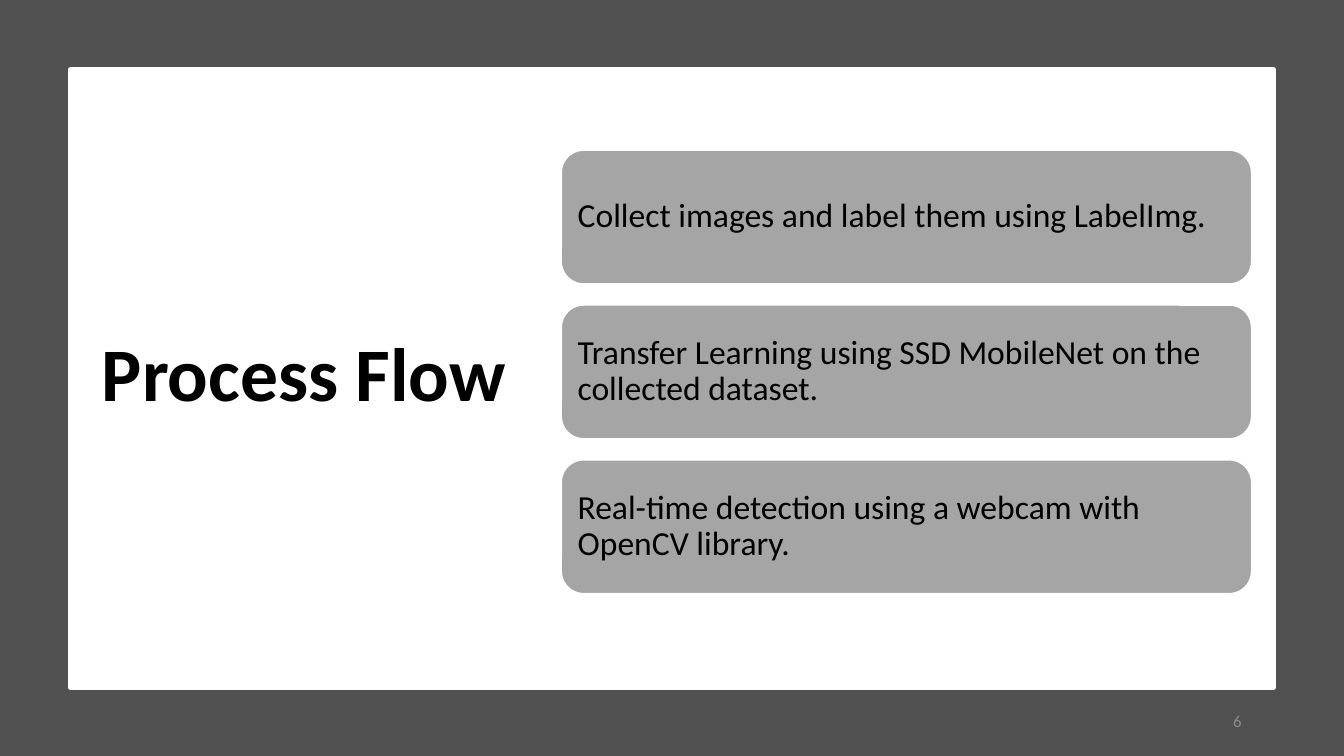
from lxml import etree
from pptx import Presentation
from pptx.dml.color import RGBColor
from pptx.enum import shapes, text
from pptx.oxml.ns import qn
from pptx.util import Pt

FONT = "Calibri"
BLACK = RGBColor(0x00, 0x00, 0x00)
WHITE = RGBColor(0xFF, 0xFF, 0xFF)
CHARCOAL = RGBColor(0x26, 0x26, 0x26)
STEP_GREY = RGBColor(0xA5, 0xA5, 0xA5)
NUMBER_GREY = RGBColor(0x8C, 0x8C, 0x8C)

WIDTH, HEIGHT = 960, 540
BORDER = 50.2
STEP_LEFT, STEP_TOP, STEP_WIDTH, STEP_HEIGHT = 401, 107.3, 493, 95.5
STEP_PITCH = 110.6
STEPS = [
    "Collect images and label them using LabelImg.",
    "Transfer Learning using SSD MobileNet on the collected dataset.",
    "Real-time detection using a webcam with OpenCV library.",
]


def add_shape(slide, kind, left, top, width, height, fill=None, line=None, weight=1):
    s = slide.shapes.add_shape(kind, Pt(left), Pt(top), Pt(width), Pt(height))
    s.shadow.inherit = False
    if fill is None:
        s.fill.background()
    else:
        s.fill.solid()
        s.fill.fore_color.rgb = fill
    if line is None:
        s.line.fill.background()
    else:
        s.line.color.rgb = line
        s.line.width = Pt(weight)
    return s


def set_opacity(s, percent):
    color = s.fill._xPr.find(qn("a:solidFill"))[0]
    etree.SubElement(color, qn("a:alpha")).set("val", str(percent * 1000))


def write(s, words, size, color=BLACK, bold=False, align=text.PP_ALIGN.LEFT,
          anchor=text.MSO_ANCHOR.MIDDLE):
    tf = s.text_frame
    tf.word_wrap = True
    tf.vertical_anchor = anchor
    p = tf.paragraphs[0]
    p.text = words
    p.alignment = align
    p.font.name, p.font.size, p.font.bold = FONT, Pt(size), bold
    p.font.color.rgb = color
    return tf


def add_border(slide):
    frame = add_shape(slide, shapes.MSO_SHAPE.FRAME, 0, 0, WIDTH, HEIGHT, CHARCOAL)
    frame.adjustments[0] = BORDER / HEIGHT
    set_opacity(frame, 80)
    add_shape(slide, shapes.MSO_SHAPE.RECTANGLE, 50.2, 49.8, 859.6, 441.2,
              line=WHITE, weight=3.5)


def add_title(slide, words):
    title = slide.shapes.title
    title.left, title.top, title.width, title.height = Pt(65.5), Pt(229), Pt(347), Pt(72.7)
    tf = write(title, words, 54, bold=True, anchor=text.MSO_ANCHOR.TOP)
    tf.auto_size = text.MSO_AUTO_SIZE.NONE


def add_step(slide, index, words):
    s = add_shape(slide, shapes.MSO_SHAPE.ROUNDED_RECTANGLE, STEP_LEFT,
                  STEP_TOP + index * STEP_PITCH, STEP_WIDTH, STEP_HEIGHT,
                  STEP_GREY, WHITE)
    tf = write(s, words, 24)
    tf.margin_left = tf.margin_right = Pt(7)
    tf.paragraphs[0].line_spacing = 0.9


def add_page_number(slide, number):
    s = slide.shapes.add_textbox(Pt(678), Pt(500.5), Pt(216), Pt(28.8))
    write(s, number, 12, NUMBER_GREY, align=text.PP_ALIGN.RIGHT)


def main():
    prs = Presentation()
    prs.slide_width, prs.slide_height = Pt(WIDTH), Pt(HEIGHT)
    slide = prs.slides.add_slide(prs.slide_layouts[5])

    # Dark border around the white panel
    add_border(slide)

    # Title and the three steps
    add_title(slide, "Process Flow")
    for i, words in enumerate(STEPS):
        add_step(slide, i, words)

    # Page number
    add_page_number(slide, "6")
    prs.save("out.pptx")


if __name__ == "__main__":
    main()
